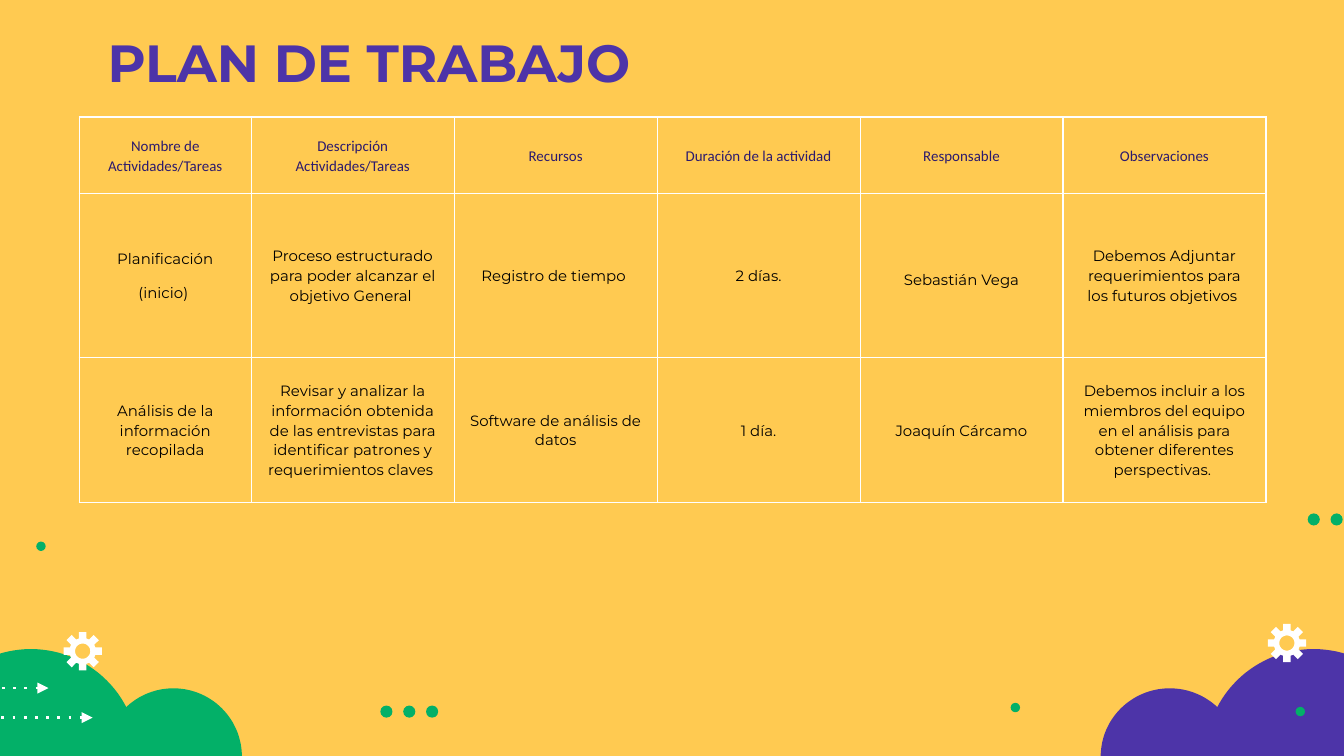
from collections import namedtuple
from math import asin, cos, pi, sin

from lxml.etree import SubElement
from pptx import Presentation
from pptx.dml.color import RGBColor
from pptx.enum.shapes import MSO_CONNECTOR, MSO_SHAPE
from pptx.enum.text import MSO_ANCHOR, PP_ALIGN
from pptx.oxml.ns import qn
from pptx.util import Inches, Pt

YELLOW = RGBColor(0xFF, 0xCA, 0x51)
PURPLE = RGBColor(0x4D, 0x34, 0xA8)
DARK_PURPLE = RGBColor(0x2C, 0x1A, 0x6D)
GREEN = RGBColor(0x03, 0xB0, 0x68)
WHITE = RGBColor(0xFF, 0xFF, 0xFF)
BLACK = RGBColor(0, 0, 0)

Box = namedtuple("Box", "left top width height")

COLUMN_WIDTHS = [1.28] + [1.51] * 5
ROW_HEIGHTS = [0.57, 1.22, 1.08]
PLAN = [
    ["Nombre de Actividades/Tareas", "Descripción Actividades/Tareas", "Recursos",
     "Duración de la actividad", "Responsable", "Observaciones"],
    ["Planificación\n(inicio) ",
     "Proceso estructurado para poder alcanzar el objetivo General ",
     "Registro de tiempo ", "2 días.", "Sebastián Vega",
     "Debemos Adjuntar requerimientos para los futuros objetivos "],
    ["Análisis de la información recopilada",
     "Revisar y analizar la información obtenida de las entrevistas para "
     "identificar patrones y requerimientos claves ",
     "Software de análisis de datos", "1 día.", "Joaquín Cárcamo",
     "Debemos incluir a los miembros del equipo en el análisis para obtener "
     "diferentes perspectivas. "],
]


def inch_box(left, top, width, height):
    return Box(Inches(left), Inches(top), Inches(width), Inches(height))


def paint(shape, color):
    shape.shadow.inherit = False
    shape.fill.solid()
    shape.fill.fore_color.rgb = color
    shape.line.fill.background()


def add_outline(slide, contours, color):
    first, *others = contours
    builder = slide.shapes.build_freeform(*first[0])
    builder.add_line_segments(first[1:], close=True)
    for contour in others:
        builder.move_to(*contour[0])
        builder.add_line_segments(contour[1:], close=True)
    paint(builder.convert_to_shape(), color)


def polar(center, radius, angle):
    return center[0] + radius * cos(angle), center[1] + radius * sin(angle)


def add_dome(slide, box, color):
    steps = 60
    points = [
        (box.left + box.width * (1 - cos(pi * step / steps)) / 2,
         box.top + box.height * (1 - sin(pi * step / steps)))
        for step in range(steps + 1)
    ]
    add_outline(slide, [points], color)


def add_cloud(slide, box, color, mirrored=False):
    for start, width, height in [(0.57, 0.43, 0.635), (0, 0.675, 1)]:
        if mirrored:
            start = 1 - start - width
        dome = Box(box.left + box.width * start, box.top + box.height * (1 - height),
                   box.width * width, box.height * height)
        add_dome(slide, dome, color)


def add_gear(slide, box):
    center = box.left + box.width / 2, box.top + box.height / 2
    outer = box.width / 2
    root, hole, half_tooth = outer * 0.68, outer * 0.39, outer * 0.19
    corners = [(root, -1), (outer, -1), (outer, 1), (root, 1)]
    teeth = [
        polar(center, radius, tooth * pi / 4 + side * asin(half_tooth / radius))
        for tooth in range(8) for radius, side in corners
    ]
    opening = [polar(center, hole, -step * pi / 18) for step in range(36)]
    add_outline(slide, [teeth, opening], WHITE)


def add_dots(slide, box, count=1, pitch=0.17):
    for index in range(count):
        dot = slide.shapes.add_shape(
            MSO_SHAPE.OVAL, box.left + index * Inches(pitch), box.top,
            box.width, box.height)
        paint(dot, GREEN)


def add_arrows(slide, box):
    for left, top in [(0.175, 1), (0, 0)]:
        start = int(box.left + box.width * left)
        height = int(box.top + box.height * top)
        arrow = slide.shapes.add_connector(
            MSO_CONNECTOR.STRAIGHT, start, height,
            int(start + box.width * 0.825), height)
        arrow.line.color.rgb = WHITE
        arrow.line.width = Pt(1.5)
        line = arrow.line._get_or_add_ln()
        SubElement(line, qn("a:prstDash"), val="dot")
        SubElement(line, qn("a:headEnd"), type="oval")
        SubElement(line, qn("a:tailEnd"), type="triangle")
        SubElement(arrow._element.spPr, qn("a:effectLst"))


def add_text(paragraph, text, size, font_name, color, bold=False):
    run = paragraph.add_run()
    run.text = text
    run.font.size = Pt(size)
    run.font.name = font_name
    run.font.color.rgb = color
    run.font.bold = bold


def set_margins(target):
    target.margin_left = target.margin_right = Inches(0.1)
    target.margin_top = target.margin_bottom = Inches(0.1)
    target.vertical_anchor = MSO_ANCHOR.MIDDLE


def add_title(slide, box):
    title = slide.shapes.title
    title.left, title.top, title.width, title.height = box
    set_margins(title.text_frame)
    paragraph = title.text_frame.paragraphs[0]
    paragraph.alignment = PP_ALIGN.LEFT
    add_text(paragraph, "PLAN DE TRABAJO", 28, "Montserrat", PURPLE, bold=True)


def add_borders(cell):
    properties = cell._tc.get_or_add_tcPr()
    for side in ("lnL", "lnR", "lnT", "lnB"):
        border = SubElement(properties, qn(f"a:{side}"), w=str(Pt(0.75)))
        fill = SubElement(border, qn("a:solidFill"))
        SubElement(fill, qn("a:srgbClr"), val=str(WHITE))


def fill_cell(cell, text, is_header):
    add_borders(cell)
    cell.fill.background()
    set_margins(cell)
    font_name, color = ("Calibri", DARK_PURPLE) if is_header else ("Montserrat", BLACK)
    lines = text.split("\n")
    for index, line in enumerate(lines):
        frame = cell.text_frame
        paragraph = frame.add_paragraph() if index else frame.paragraphs[0]
        paragraph.alignment = PP_ALIGN.CENTER
        paragraph.line_spacing = 1.5 if text == "Sebastián Vega" else 1.08
        paragraph.space_before = Pt(8 if index else 0)
        paragraph.space_after = Pt(8 if index == len(lines) - 1 else 0)
        add_text(paragraph, line, 8, font_name, color)


def add_plan_table(slide, box):
    table = slide.shapes.add_table(len(PLAN), len(PLAN[0]), *box).table
    table.first_row = table.horz_banding = False
    for column, width in zip(table.columns, COLUMN_WIDTHS):
        column.width = int(box.width * width / sum(COLUMN_WIDTHS))
    for row, height in zip(table.rows, ROW_HEIGHTS):
        row.height = int(box.height * height / sum(ROW_HEIGHTS))
    for row_index, texts in enumerate(PLAN):
        for column_index, text in enumerate(texts):
            fill_cell(table.cell(row_index, column_index), text, row_index == 0)


def main():
    presentation = Presentation()
    presentation.slide_width = Inches(10)
    presentation.slide_height = presentation.slide_width * 9 // 16
    slide = presentation.slides.add_slide(presentation.slide_layouts[5])
    slide.background.fill.solid()
    slide.background.fill.fore_color.rgb = YELLOW

    add_cloud(slide, inch_box(8.19, 4.83, 2.39, 0.8), PURPLE, mirrored=True)
    add_cloud(slide, inch_box(-0.57, 4.83, 2.37, 0.8), GREEN)
    for left, top in [(9.43, 4.64), (0.47, 4.7)]:
        add_gear(slide, inch_box(left, top, 0.29, 0.29))
    for left, top in [(9.64, 5.26), (0.27, 4.03), (7.52, 5.23)]:
        add_dots(slide, inch_box(left, top, 0.07, 0.07))
    for left, top, count in [(9.73, 3.82, 2), (2.83, 5.25, 3)]:
        add_dots(slide, inch_box(left, top, 0.09, 0.09), count)
    add_arrows(slide, inch_box(-1.19, 5.12, 1.88, 0.22))
    add_title(slide, inch_box(0.7, 0.12, 8.44, 0.68))
    add_plan_table(slide, inch_box(0.59, 0.87, sum(COLUMN_WIDTHS), sum(ROW_HEIGHTS)))

    presentation.save("out.pptx")


if __name__ == "__main__":
    main()
